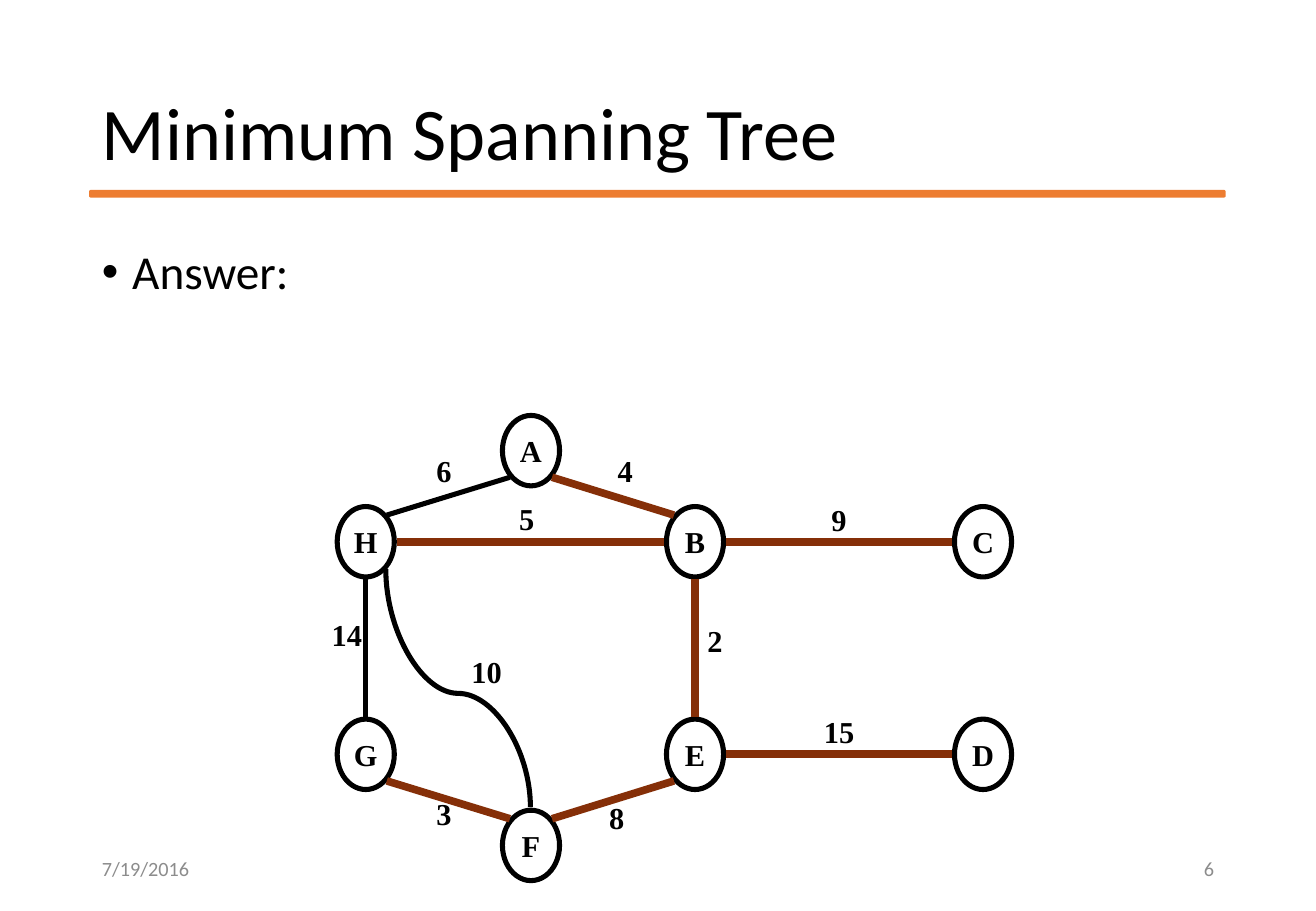
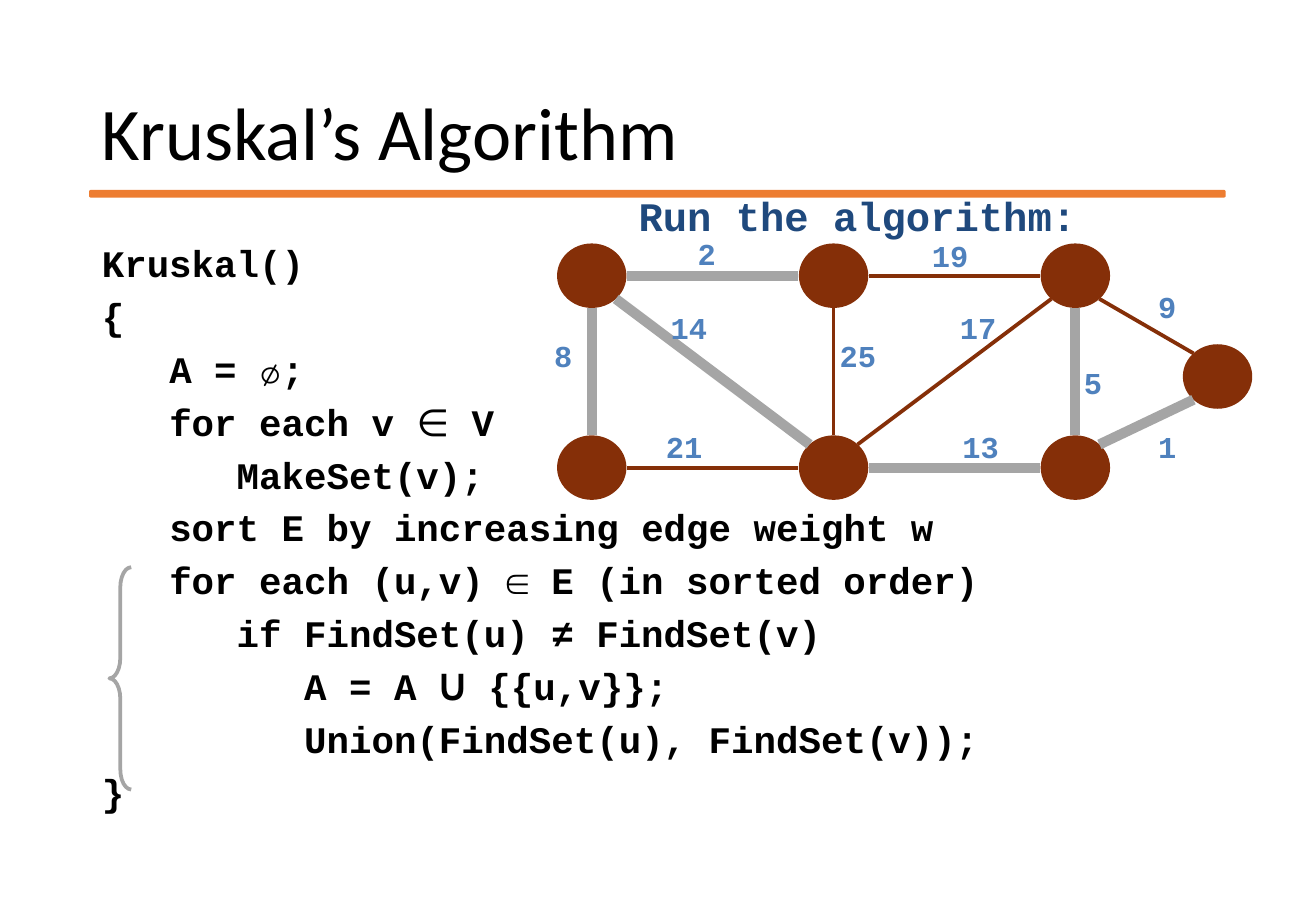
"""Build two slides on minimum spanning trees and Kruskal's algorithm."""
from dataclasses import dataclass
from math import hypot

from lxml import etree
from pptx import Presentation
from pptx.dml.color import RGBColor
from pptx.enum.shapes import MSO_CONNECTOR, MSO_SHAPE
from pptx.enum.text import MSO_ANCHOR, MSO_AUTO_SIZE, PP_ALIGN
from pptx.oxml.ns import qn
from pptx.util import Inches, Pt


@dataclass(frozen=True)
class Style:
    font: str
    size: float
    color: str
    bold: bool = False


@dataclass(frozen=True)
class Theme:
    accent: str = "ED7D31"
    black: str = "000000"
    brown: str = "852F08"
    gray: str = "A5A5A5"
    title: Style = Style("Calibri", 44, "000000")
    body: Style = Style("Calibri", 28, "000000")
    footer: Style = Style("Calibri", 12, "8C8C8C")
    code: Style = Style("Courier New", 22.2, "000000", True)
    node: Style = Style("Times New Roman", 18, "000000", True)
    weight: Style = Style("Courier New", 18, "4F81BD", True)
    caption: Style = Style("Courier New", 24, "1F497D", True)


theme = Theme()


def write_text(box, lines, style, align=PP_ALIGN.LEFT, anchor=MSO_ANCHOR.TOP,
               wrap=True, spacing=1.0, before=0):
    """Fill a shape with paragraphs, each given as a tuple of runs."""
    frame = box.text_frame
    frame.word_wrap = wrap
    frame.vertical_anchor = anchor
    for number, line in enumerate(lines):
        para = frame.add_paragraph() if number else frame.paragraphs[0]
        para.alignment = align
        para.line_spacing = spacing
        para.space_before = Pt(before)
        para.font.name = style.font
        para.font.size = Pt(style.size)
        para.font.bold = style.bold
        para.font.color.rgb = RGBColor.from_string(style.color)
        for words in line:
            para.add_run().text = words
    return frame.paragraphs


def add_line(page, kind, start, end, color, width):
    """Add a connector without a shadow."""
    line = page.shapes.add_connector(kind, *map(Inches, start + end))
    line.line.color.rgb = RGBColor.from_string(color)
    line.line.width = Pt(width)
    etree.SubElement(line._element.spPr, qn("a:effectLst"))
    return line


deck = Presentation()
deck.slide_width, deck.slide_height = Inches(10.83), Inches(7.5)
left, content_width = 0.74, 9.34

pages = []
for title in ("Minimum Spanning Tree", "Kruskal\u2019s Algorithm"):
    page = deck.slides.add_slide(deck.slide_layouts[6])
    rule = page.shapes.add_shape(MSO_SHAPE.ROUNDED_RECTANGLE, Inches(left), Inches(1.57),
                                 Inches(content_width), Inches(0.05))
    rule.shadow.inherit = False
    rule.fill.solid()
    rule.fill.fore_color.rgb = RGBColor.from_string(theme.accent)
    rule.line.color.rgb = RGBColor.from_string(theme.accent)
    rule.line.width = Pt(1)
    title_box = page.shapes.add_textbox(Inches(left), Inches(0.4),
                                        Inches(content_width), Inches(1.45))
    write_text(title_box, [(title,)], theme.title, anchor=MSO_ANCHOR.MIDDLE, spacing=0.9)
    pages.append(page)
answer_page, kruskal_page = pages

answer_box = answer_page.shapes.add_textbox(Inches(left), Inches(2),
                                            Inches(content_width), Inches(4.76))
answer = write_text(answer_box, [("Answer:",)], theme.body, spacing=0.9, before=10)[0]
properties = answer._p.get_or_add_pPr()
properties.set("marL", str(Inches(0.25)))
properties.set("indent", str(-Inches(0.25)))
run_defaults = properties.find(qn("a:defRPr"))
run_defaults.addprevious(etree.Element(qn("a:buFont"), typeface="Arial"))
run_defaults.addprevious(etree.Element(qn("a:buChar"), char="\u2022"))

code_lines = [
    (0, ("Kruskal()",)),
    (0, ("{",)),
    (1, ("A = \u2205;",)),
    (1, ("for each v ", "\u2208", " V")),
    (2, ("MakeSet(v);",)),
    (1, ("sort E by increasing edge weight w",)),
    (1, ("for each (u,v) \u2208 E (in sorted order)",)),
    (2, ("if FindSet(u) \u2260 FindSet(v)",)),
    (3, ("A = A ", "U", " {{u,v}};")),
    (3, ("Union(FindSet(u), FindSet(v));",)),
    (0, ("}",)),
]
code_box = kruskal_page.shapes.add_textbox(Inches(left), Inches(2),
                                           Inches(content_width), Inches(4.76))
code = write_text(code_box, [line for level, line in code_lines], theme.code,
                  spacing=0.8, before=10)
character_width = 0.6 * theme.code.size
for para, (level, line) in zip(code, code_lines):
    para._p.get_or_add_pPr().set("marL", str(Pt(3 * character_width * level)))
member_sign, union_sign = code[3].runs[1], code[8].runs[1]
member_sign.font.name = "Calibri"
member_sign.font.bold = False
union_sign.font.name = "Cabin"

answer_columns, answer_rows = (3.01, 4.37, 5.72, 8.09), (3.71, 4.46, 6.21, 6.96)
kruskal_columns, kruskal_rows = (4.87, 6.86, 8.85), (2.27, 3.85)
graphs = [
    dict(
        page=answer_page, size=(0.47, 0.58), fill=None, outline=(theme.black, 3),
        tree=(theme.brown, 4.5), other=(theme.black, 3), named=True,
        weight=theme.node, label_widths=(0.33, 0.45),
        nodes={name: (answer_columns[column], answer_rows[row]) for name, column, row in (
            ("H", 0, 1), ("B", 2, 1), ("C", 3, 1), ("G", 0, 2),
            ("E", 2, 2), ("D", 3, 2), ("F", 1, 3), ("A", 1, 0))},
        edges=[
            ("A", "B", True, "4", 4.98, 3.67), ("A", "H", False, "6", 3.49, 3.67),
            ("H", "B", True, "5", 4.17, 4.07), ("G", "H", False, "14", 2.63, 5.02),
            ("G", "F", True, "3", 3.49, 6.5), ("F", "E", True, "8", 4.91, 6.53),
            ("E", "B", True, "2", 5.72, 5.07), ("B", "C", True, "9", 6.74, 4.08),
            ("E", "D", True, "15", 6.68, 5.82), ("F", "H", False, "10", 3.78, 5.33),
        ],
    ),
    dict(
        page=kruskal_page, size=(0.54, 0.5), fill=theme.brown, outline=(theme.brown, 2.25),
        tree=(theme.gray, 6), other=(theme.brown, 2.25), named=False,
        weight=theme.weight, label_widths=(0.35, 0.5),
        nodes={
            **{name: (x, kruskal_rows[0]) for name, x in zip("abc", kruskal_columns)},
            **{name: (x, kruskal_rows[1]) for name, x in zip("def", kruskal_columns)},
            "g": (10.02, 3.1),
        },
        edges=[
            ("a", "b", True, "2", 5.64, 1.89), ("b", "c", False, "19", 7.57, 1.9),
            ("c", "e", False, "17", 7.8, 2.5), ("e", "d", False, "21", 5.38, 3.48),
            ("d", "a", True, "8", 4.46, 2.73), ("a", "e", True, "14", 5.42, 2.5),
            ("e", "b", False, "25", 6.81, 2.73), ("e", "f", True, "13", 7.82, 3.48),
            ("f", "c", True, "5", 8.82, 2.95), ("c", "g", False, "9", 9.43, 2.32),
            ("f", "g", True, "1", 9.43, 3.48),
        ],
    ),
]

clearance = 0.02
for graph in graphs:
    shapes = graph["page"].shapes
    width, height = graph["size"]
    for name, (x, y) in graph["nodes"].items():
        node = shapes.add_shape(MSO_SHAPE.OVAL, Inches(x - width / 2), Inches(y - height / 2),
                                Inches(width), Inches(height))
        node.shadow.inherit = False
        if graph["fill"]:
            node.fill.solid()
            node.fill.fore_color.rgb = RGBColor.from_string(graph["fill"])
        else:
            node.fill.background()
        color, thickness = graph["outline"]
        node.line.color.rgb = RGBColor.from_string(color)
        node.line.width = Pt(thickness)
        if graph["named"]:
            write_text(node, [(name,)], theme.node, PP_ALIGN.CENTER, MSO_ANCHOR.MIDDLE, False)

    for first, second, in_tree, weight, label_left, label_top in graph["edges"]:
        color, thickness = graph["tree" if in_tree else "other"]
        (x1, y1), (x2, y2) = graph["nodes"][first], graph["nodes"][second]
        if (first, second) == ("F", "H"):
            curve = add_line(graph["page"], MSO_CONNECTOR.CURVE, (4.75, 5.07), (2.79, 6.26),
                             color, thickness)
            curve._element.spPr.find(qn("a:xfrm")).set("rot", "5400000")
            geometry = curve._element.spPr.find(qn("a:prstGeom"))
            etree.SubElement(geometry.find(qn("a:avLst")), qn("a:gd"),
                             name="adj1", fmla="val 47800")
        else:
            step_x = (x2 > x1) - (x2 < x1)
            step_y = (y2 > y1) - (y2 < y1)
            slant = hypot(step_x, step_y)
            reach_x = step_x * (width / 2 + clearance / slant ** 2) / slant
            reach_y = step_y * (height / 2 + clearance) / slant
            add_line(graph["page"], MSO_CONNECTOR.STRAIGHT, (x1 + reach_x, y1 + reach_y),
                     (x2 - reach_x, y2 - reach_y), color, thickness)

    for first, second, in_tree, weight, label_left, label_top in graph["edges"]:
        label_width = graph["label_widths"][len(weight) - 1]
        label = shapes.add_textbox(Inches(label_left), Inches(label_top),
                                   Inches(label_width), Inches(0.4))
        write_text(label, [(weight,)], graph["weight"], PP_ALIGN.CENTER, wrap=False)
        label.text_frame.auto_size = MSO_AUTO_SIZE.SHAPE_TO_FIT_TEXT

for words, footer_left, align in (("7/19/2016", left, PP_ALIGN.LEFT),
                                  ("6", 7.65, PP_ALIGN.RIGHT)):
    footer = answer_page.shapes.add_textbox(Inches(footer_left), Inches(6.95),
                                            Inches(2.44), Inches(0.4))
    write_text(footer, [(words,)], theme.footer, align, MSO_ANCHOR.MIDDLE)

caption = kruskal_page.shapes.add_textbox(Inches(5.14), Inches(1.52), Inches(3.83), Inches(0.5))
write_text(caption, [("Run the algorithm:",)], theme.caption, PP_ALIGN.CENTER, wrap=False)

loop_brace = kruskal_page.shapes.add_shape(MSO_SHAPE.LEFT_BRACE, Inches(0.9), Inches(4.67),
                                           Inches(0.18), Inches(1.83))
loop_brace.shadow.inherit = False
loop_brace.adjustments[0] = 0.92
loop_brace.fill.background()
loop_brace.line.color.rgb = RGBColor.from_string(theme.gray)
loop_brace.line.width = Pt(2.25)

deck.save("out.pptx")
